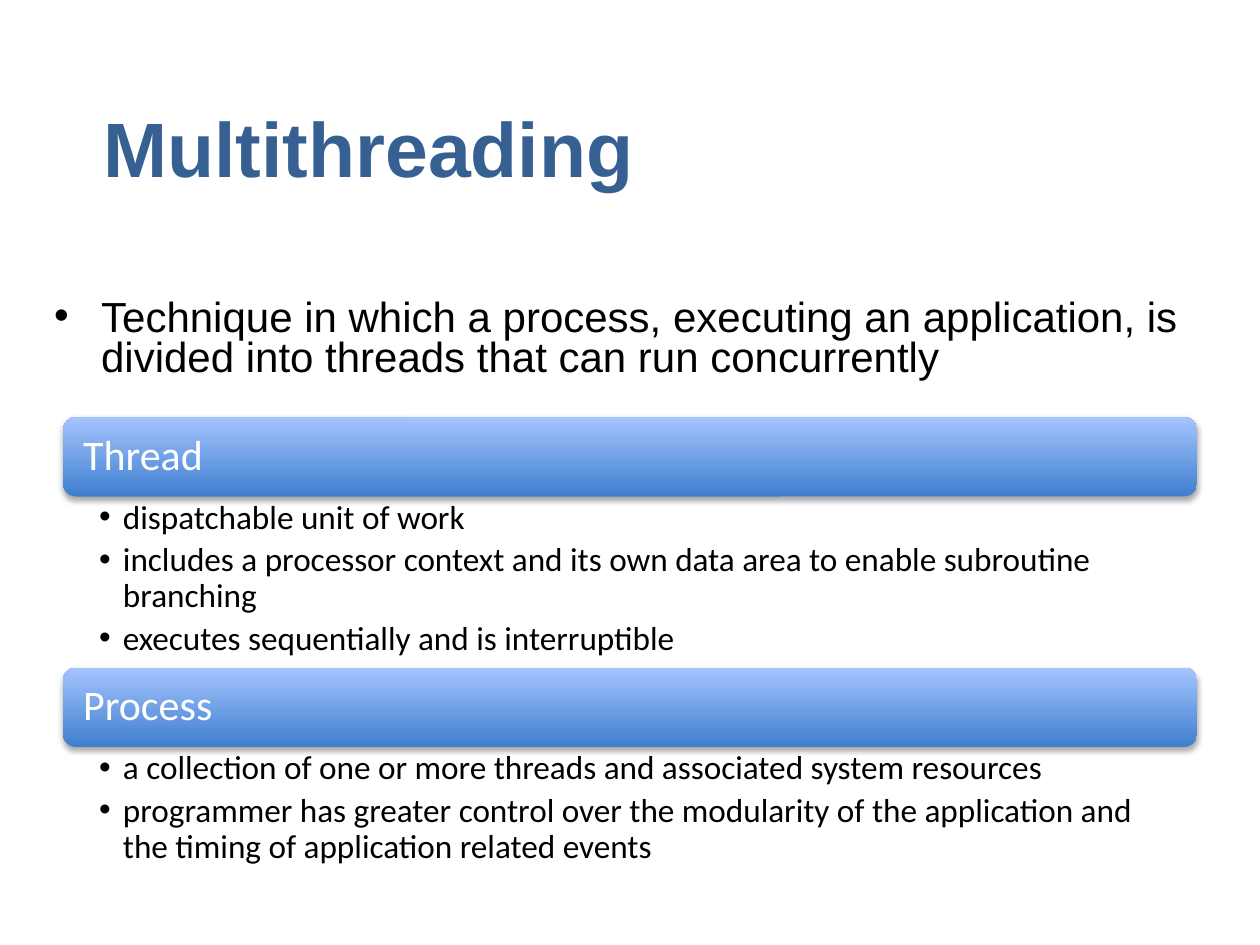
from lxml import etree
from pptx import Presentation
from pptx import util as u
from pptx.dml.color import RGBColor
from pptx.enum import shapes, text
from pptx.oxml import parse_xml
from pptx.oxml.ns import nsdecls, qn

TITLE_BLUE = RGBColor(0x37, 0x60, 0x92)
BAND_DARK = RGBColor(0x3F, 0x7F, 0xCE)
BAND_LIGHT = RGBColor(0xA4, 0xC4, 0xFF)
BLACK = RGBColor(0, 0, 0)
WHITE = RGBColor(0xFF, 0xFF, 0xFF)

TITLE_FONT = {"name": "Arial", "size": u.Pt(44), "bold": True, "color": TITLE_BLUE}
INTRO_FONT = {"name": "Arial", "size": u.Pt(24), "color": BLACK}
BAND_FONT = {"name": "Calibri", "size": u.Pt(24), "color": WHITE}
ITEM_FONT = {"name": "Calibri", "size": u.Pt(19), "color": BLACK}

BAND_HEIGHT = 1.6
SECTIONS = [
    ("Thread", 3.45, [
        "dispatchable unit of work",
        "includes a processor context and its own data area to enable "
        "subroutine branching",
        "executes sequentially and is interruptible",
    ]),
    ("Process", 2.57, [
        "a collection of one or more threads and associated system resources",
        "programmer has greater control over the modularity of the application "
        "and the timing of application related events",
    ]),
]


def set_values(target, values):
    for name, value in values.items():
        setattr(target, name, value)


def write(para, words, font, **layout):
    span = para.add_run()
    span.text = words
    for name, value in font.items():
        if name == "color":
            span.font.color.rgb = value
        else:
            setattr(span.font, name, value)
    set_values(para, layout)


def add_bullet(para, indent):
    """Give the paragraph a round bullet hanging by indent, in centimetres."""
    properties = para._p.get_or_add_pPr()
    properties.set("marL", str(u.Cm(indent)))
    properties.set("indent", str(-u.Cm(indent)))
    etree.SubElement(properties, qn("a:buFont")).set("typeface", "Arial")
    etree.SubElement(properties, qn("a:buChar")).set("char", "•")


def add_soft_shadow(shape):
    shape._element.spPr.append(parse_xml(
        f'<a:effectLst {nsdecls("a")}>'
        f'<a:outerShdw blurRad="{u.Pt(3.1)}" dist="{u.Pt(1.8)}" dir="5400000" '
        'rotWithShape="0"><a:srgbClr val="000000"><a:alpha val="35000"/>'
        '</a:srgbClr></a:outerShdw></a:effectLst>'))


def place_title(page, left, top, width, height):
    title = page.shapes.title
    set_values(title, {"left": u.Cm(left), "top": u.Cm(top),
                       "width": u.Cm(width), "height": u.Cm(height)})
    title.text_frame.vertical_anchor = text.MSO_ANCHOR.MIDDLE
    write(title.text_frame.paragraphs[0], "Multithreading", TITLE_FONT,
          alignment=text.PP_ALIGN.LEFT)


def add_intro(page, left, top, width, height):
    box = page.shapes.add_textbox(*map(u.Cm, (left, top, width, height)))
    box.text_frame.word_wrap = True
    para = box.text_frame.paragraphs[0]
    add_bullet(para, 0.95)
    write(para, "Technique in which a process, executing an application, is "
                "divided into threads that can run concurrently",
          INTRO_FONT, line_spacing=0.8)


def add_band(page, heading, left, top, width):
    band = page.shapes.add_shape(shapes.MSO_SHAPE.ROUNDED_RECTANGLE,
                                 *map(u.Cm, (left, top, width, BAND_HEIGHT)))
    band.fill.gradient()
    band.fill.gradient_angle = 90
    for stop, color in zip(band.fill.gradient_stops, (BAND_DARK, BAND_LIGHT)):
        stop.color.rgb = color
    band.line.fill.background()
    add_soft_shadow(band)
    set_values(band.text_frame, {"margin_left": u.Cm(0.33), "margin_right": u.Cm(0.33),
                                 "vertical_anchor": text.MSO_ANCHOR.MIDDLE})
    write(band.text_frame.paragraphs[0], heading, BAND_FONT,
          alignment=text.PP_ALIGN.LEFT, line_spacing=0.9)


def add_items(page, items, left, top, width, height):
    box = page.shapes.add_textbox(*map(u.Cm, (left, top, width, height)))
    frame = box.text_frame
    set_values(frame, {"word_wrap": True,
                       "margin_left": u.Cm(0.73), "margin_right": u.Cm(0.48),
                       "margin_top": u.Cm(0.08), "margin_bottom": u.Cm(0.08)})
    for index, item in enumerate(items):
        para = frame.add_paragraph() if index else frame.paragraphs[0]
        add_bullet(para, 0.48)
        write(para, item, ITEM_FONT, level=1, line_spacing=0.9,
              space_after=u.Pt(3.8))


def add_sections(page, left, top, width):
    """Stack the headed lists without gaps."""
    for heading, list_height, items in SECTIONS:
        add_band(page, heading, left, top, width)
        add_items(page, items, left, top + BAND_HEIGHT, width, list_height)
        top += BAND_HEIGHT + list_height


def main():
    deck = Presentation()
    deck.slide_width, deck.slide_height = u.Cm(25.4), u.Cm(19.05)
    page = deck.slides.add_slide(deck.slide_layouts.get_by_name("Title Only"))
    place_title(page, 1.83, 1.27, 21.74, 3.38)
    add_intro(page, 0.84, 5.92, 23.29, 12.78)
    add_sections(page, 1.27, 8.41, 22.86)
    deck.save("out.pptx")


if __name__ == "__main__":
    main()
